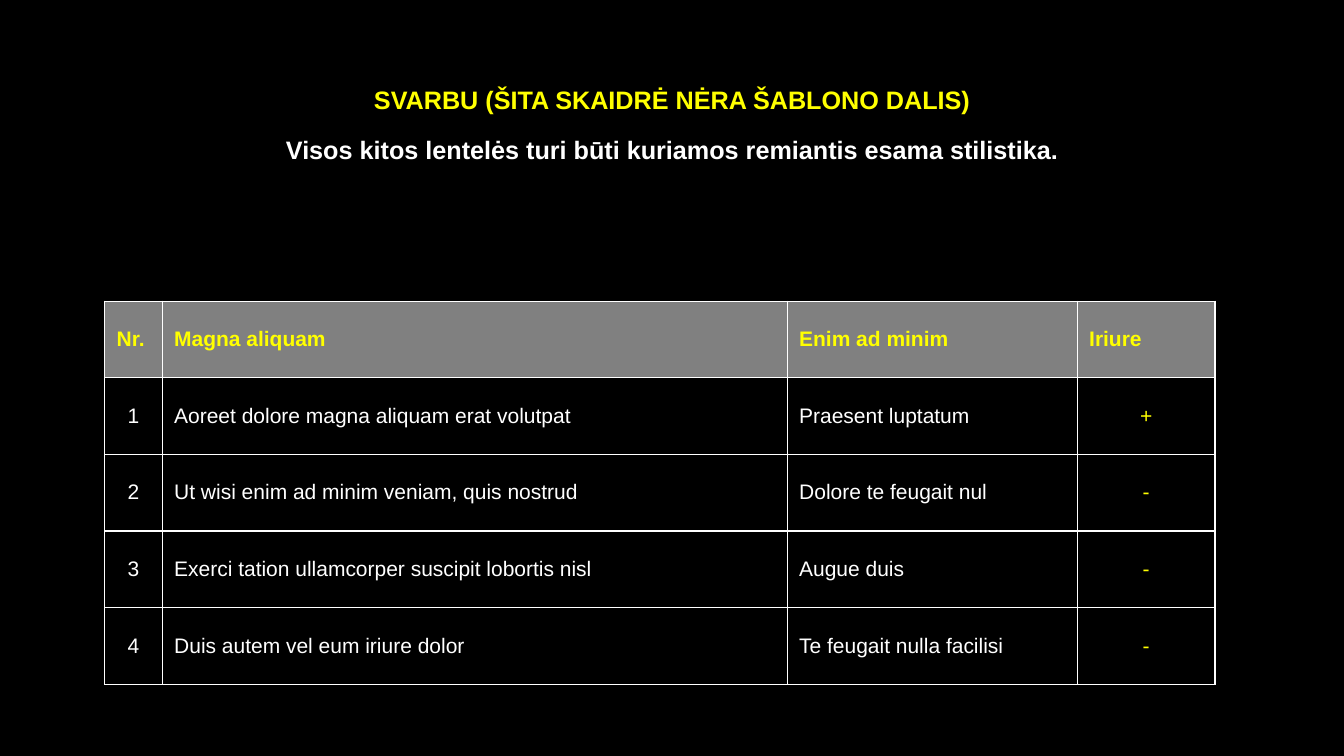
import pptx
import pptx.dml.color
import pptx.enum.text
import pptx.oxml
import pptx.oxml.ns
import pptx.util
from pptx.util import Cm

BLACK, WHITE, YELLOW, GREY = "000000", "FFFFFF", "FFFF00", "808080"
CENTER = pptx.enum.text.PP_ALIGN.CENTER
LEFT = pptx.enum.text.PP_ALIGN.LEFT


def color(hex_code):
    return pptx.dml.color.RGBColor.from_string(hex_code)


class SlideBuilder:
    font_name = "Arial"
    heading_size = 18
    table_size = 15
    border_width = 1

    def __init__(self, presentation):
        self.slide = presentation.slides.add_slide(presentation.slide_layouts[5])
        background = self.slide.background.fill
        background.solid()
        background.fore_color.rgb = color(BLACK)

    def format_paragraph(self, paragraph, size, hex_code, bold, alignment):
        paragraph.alignment = alignment
        paragraph.font.name = self.font_name
        paragraph.font.size = pptx.util.Pt(size)
        paragraph.font.bold = bold
        paragraph.font.color.rgb = color(hex_code)

    def heading(self, left, top, width, height, lines):
        title = self.slide.shapes.title
        title.left, title.top = Cm(left), Cm(top)
        title.width, title.height = Cm(width), Cm(height)
        frame = title.text_frame
        frame.word_wrap = True
        frame.auto_size = pptx.enum.text.MSO_AUTO_SIZE.SHAPE_TO_FIT_TEXT
        frame.vertical_anchor = pptx.enum.text.MSO_ANCHOR.TOP
        frame.text = "\n".join(text for text, _ in lines)
        for paragraph, (_, hex_code) in zip(frame.paragraphs, lines):
            self.format_paragraph(paragraph, self.heading_size, hex_code, True, CENTER)
            paragraph.line_spacing = 1.1
            paragraph.space_before = pptx.util.Pt(0)
            paragraph.space_after = pptx.util.Pt(12)

    def cell_borders(self, cell):
        properties = cell._tc.get_or_add_tcPr()
        width = pptx.util.Pt(self.border_width)
        for side in ("lnL", "lnR", "lnT", "lnB"):
            properties.append(pptx.oxml.parse_xml(
                f'<a:{side} {pptx.oxml.ns.nsdecls("a")} w="{width}"><a:solidFill>'
                f'<a:srgbClr val="{WHITE}"/></a:solidFill></a:{side}>'))

    def cell(self, cell, text, hex_code, bold, alignment, fill):
        cell.text = text
        cell.vertical_anchor = pptx.enum.text.MSO_ANCHOR.MIDDLE
        cell.margin_left = cell.margin_right = Cm(0.3)
        cell.margin_top = cell.margin_bottom = Cm(0.15)
        self.format_paragraph(cell.text_frame.paragraphs[0], self.table_size,
                              hex_code, bold, alignment)
        self.cell_borders(cell)
        if fill:
            cell.fill.solid()
            cell.fill.fore_color.rgb = color(fill)
        else:
            cell.fill.background()

    def table(self, left, top, column_widths, row_height, header, records):
        rows = [header] + records
        table = self.slide.shapes.add_table(
            len(rows), len(header), Cm(left), Cm(top),
            Cm(sum(column_widths)), Cm(row_height * len(rows))).table
        table.horz_banding = False
        for column, width in zip(table.columns, column_widths):
            column.width = Cm(width)
        for row in table.rows:
            row.height = Cm(row_height)

        for column, label in enumerate(header):
            self.cell(table.cell(0, column), label, YELLOW, True, LEFT, GREY)
        last = len(header) - 1
        for row, record in enumerate(records, start=1):
            for column, text in enumerate(record):
                self.cell(table.cell(row, column), text,
                          YELLOW if column == last else WHITE, False,
                          CENTER if column in (0, last) else LEFT, None)


def main():
    presentation = pptx.Presentation()
    presentation.slide_width, presentation.slide_height = Cm(33.87), Cm(19.05)
    builder = SlideBuilder(presentation)

    # Heading
    builder.heading(3.07, 1.93, 27.74, 2.31, [
        ("SVARBU (ŠITA SKAIDRĖ NĖRA ŠABLONO DALIS)", YELLOW),
        ("Visos kitos lentelės turi būti kuriamos remiantis esama stilistika.", WHITE),
    ])

    # Sample table
    builder.table(
        2.64, 7.59, [1.45, 15.75, 7.31, 3.47], 1.93,
        ["Nr.", "Magna aliquam", "Enim ad minim", "Iriure"],
        [
            ["1", "Aoreet dolore magna aliquam erat volutpat", "Praesent luptatum", "+"],
            ["2", "Ut wisi enim ad minim veniam, quis nostrud", "Dolore te feugait nul", "-"],
            ["3", "Exerci tation ullamcorper suscipit lobortis nisl", "Augue duis", "-"],
            ["4", "Duis autem vel eum iriure dolor", "Te feugait nulla facilisi", "-"],
        ])

    presentation.save("out.pptx")


if __name__ == "__main__":
    main()
